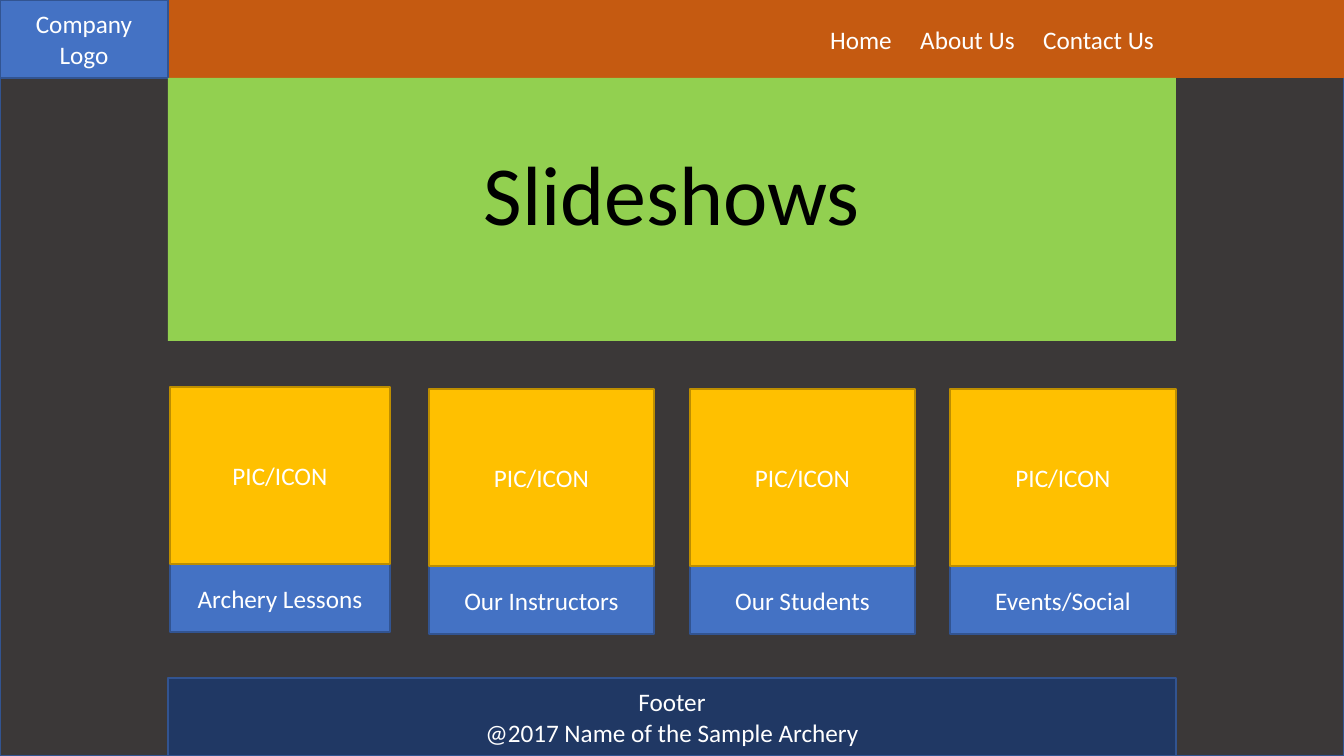
from pptx import Presentation, util as u
from pptx.dml.color import RGBColor
from pptx.enum import shapes, text

CHARCOAL = RGBColor(0x3B, 0x38, 0x38)
ORANGE = RGBColor(0xC5, 0x5A, 0x11)
BLUE = RGBColor(0x44, 0x72, 0xC4)
BLUE_EDGE = RGBColor(0x32, 0x54, 0x91)
GREEN = RGBColor(0x92, 0xD0, 0x50)
NAVY = RGBColor(0x20, 0x38, 0x64)
GOLD = RGBColor(0xFF, 0xC0, 0x00)
GOLD_EDGE = RGBColor(0xBD, 0x8E, 0x00)
WHITE = RGBColor(0xFF, 0xFF, 0xFF)
BLACK = RGBColor(0x00, 0x00, 0x00)

WIDTH, HEIGHT = 1344, 756


def px(value):
    return u.Emu(round(value * 12192000 / WIDTH))


def write(frame, words, size=18, color=WHITE):
    frame.text = words
    for name, value in {"word_wrap": True,
                        "vertical_anchor": text.MSO_ANCHOR.MIDDLE}.items():
        setattr(frame, name, value)
    line = frame.paragraphs[0]
    line.alignment = text.PP_ALIGN.CENTER
    for run in line.runs:
        for name, value in {"size": u.Pt(size), "name": "Calibri"}.items():
            setattr(run.font, name, value)
        run.font.color.rgb = color


deck = Presentation()
deck.slide_width, deck.slide_height = px(WIDTH), px(HEIGHT)
page = deck.slides.add_slide(deck.slide_layouts[6])

MARGIN, CONTENT, BAR = 168, 1008, 78
blocks = [
    (0, 0, WIDTH, HEIGHT, CHARCOAL, BLUE_EDGE, ""),
    (0, 0, WIDTH, BAR, ORANGE, None, ""),
    (0, 0, MARGIN, BAR, BLUE, BLUE_EDGE, "Company Logo"),
    (MARGIN, BAR, CONTENT, 263, GREEN, None, "Slideshows"),
    (MARGIN, HEIGHT - BAR, CONTENT, BAR, NAVY, BLUE_EDGE,
     "Footer\v@2017 Name of the Sample Archery"),
]
cards = [
    (170, 387, 220, "Archery Lessons"),
    (429, 389, 225, "Our Instructors"),
    (690, 389, 225, "Our Students"),
    (950, 389, 226, "Events/Social"),
]
ICON, CAPTION = 177, 68
for left, top, width, caption in cards:
    blocks.append((left, top + ICON, width, CAPTION, BLUE, BLUE_EDGE, caption))
    blocks.append((left, top, width, ICON, GOLD, GOLD_EDGE, "PIC/ICON"))

for left, top, width, height, fill, edge, words in blocks:
    block = page.shapes.add_shape(shapes.MSO_SHAPE.RECTANGLE,
                                  px(left), px(top), px(width), px(height))
    block.shadow.inherit = False
    block.fill.solid()
    block.fill.fore_color.rgb = fill
    if edge:
        block.line.color.rgb = edge
        block.line.width = u.Pt(1)
    else:
        block.line.fill.background()
    if fill == GREEN:
        write(block.text_frame, words, 60, BLACK)
        block.text_frame.vertical_anchor = text.MSO_ANCHOR.BOTTOM
        block.text_frame.margin_bottom = px(97)
        block.text_frame.paragraphs[0].line_spacing = 0.9
    elif words:
        write(block.text_frame, words)

for left, width, words in [(820, 82, "Home"), (910, 115, "About Us"),
                           (1033, 131, "Contact Us")]:
    menu = page.shapes.add_textbox(px(left), 0, px(width), px(BAR))
    write(menu.text_frame, words)
    menu.text_frame.margin_left = menu.text_frame.margin_right = 0

deck.save("out.pptx")
